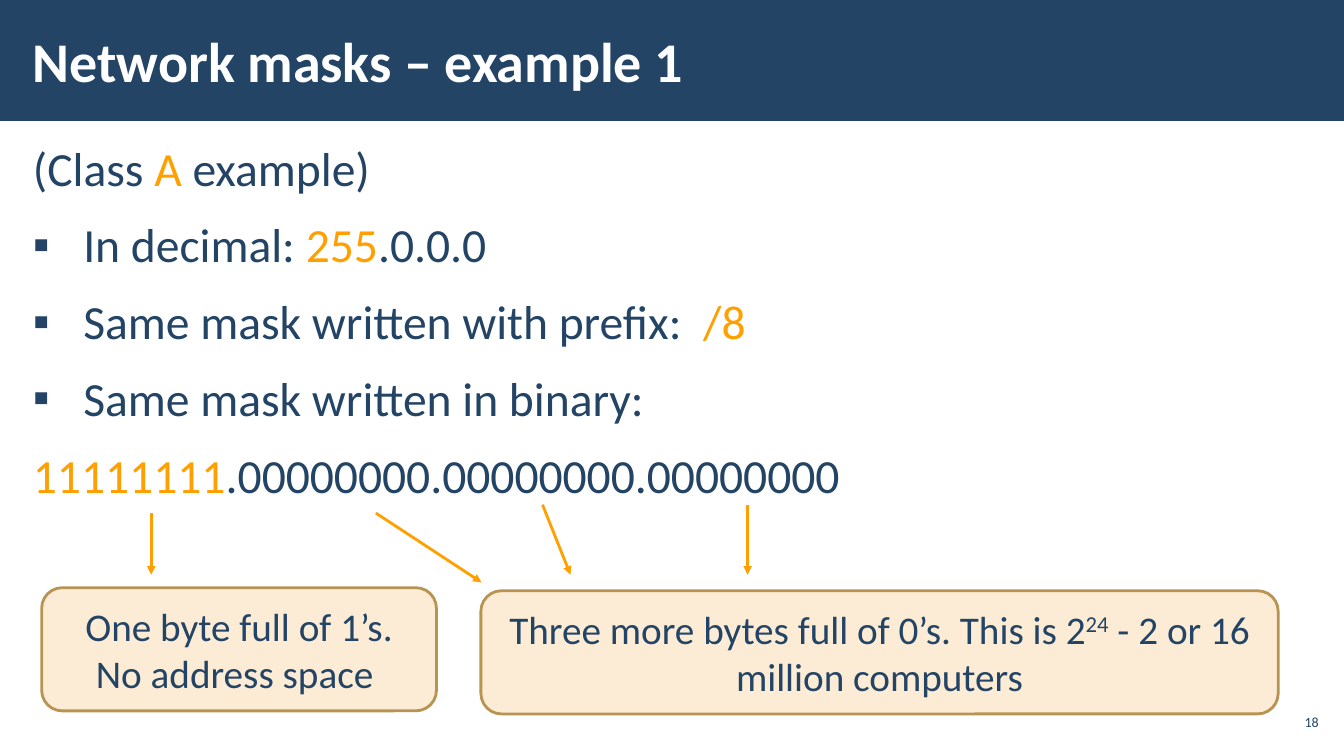
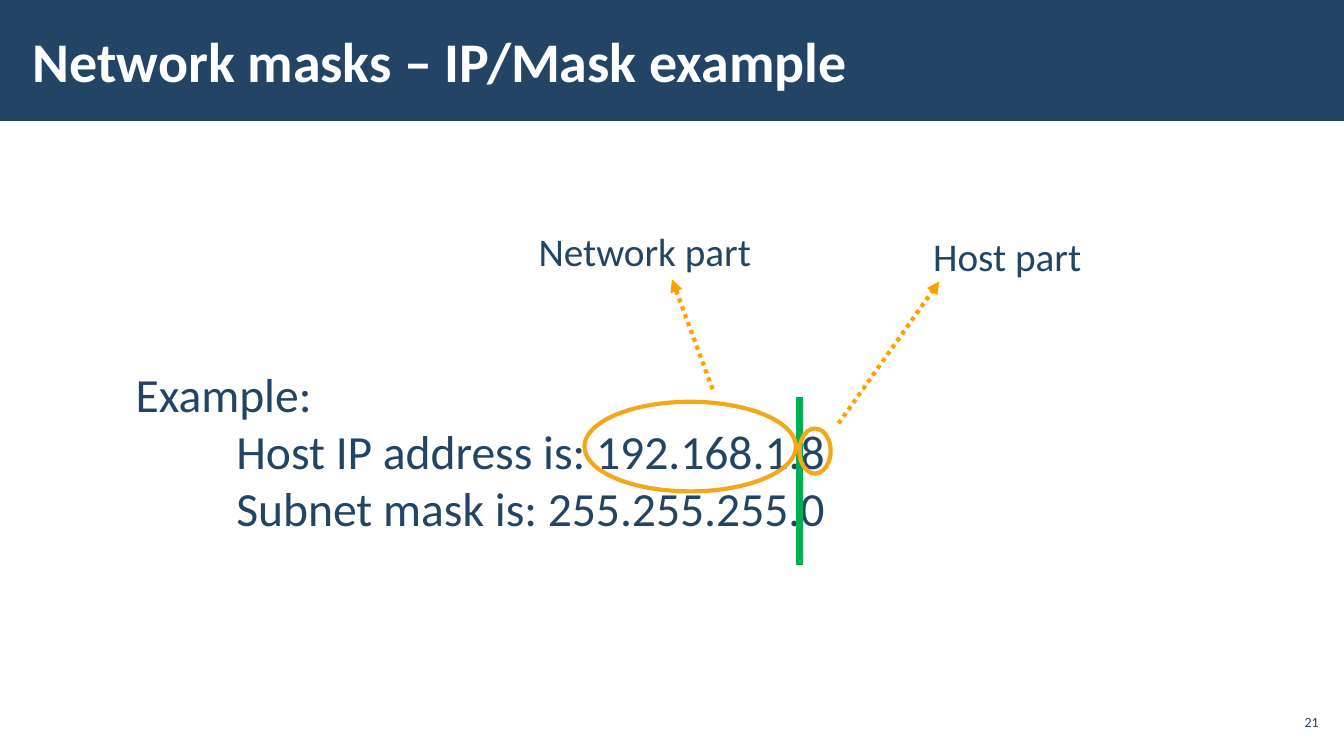
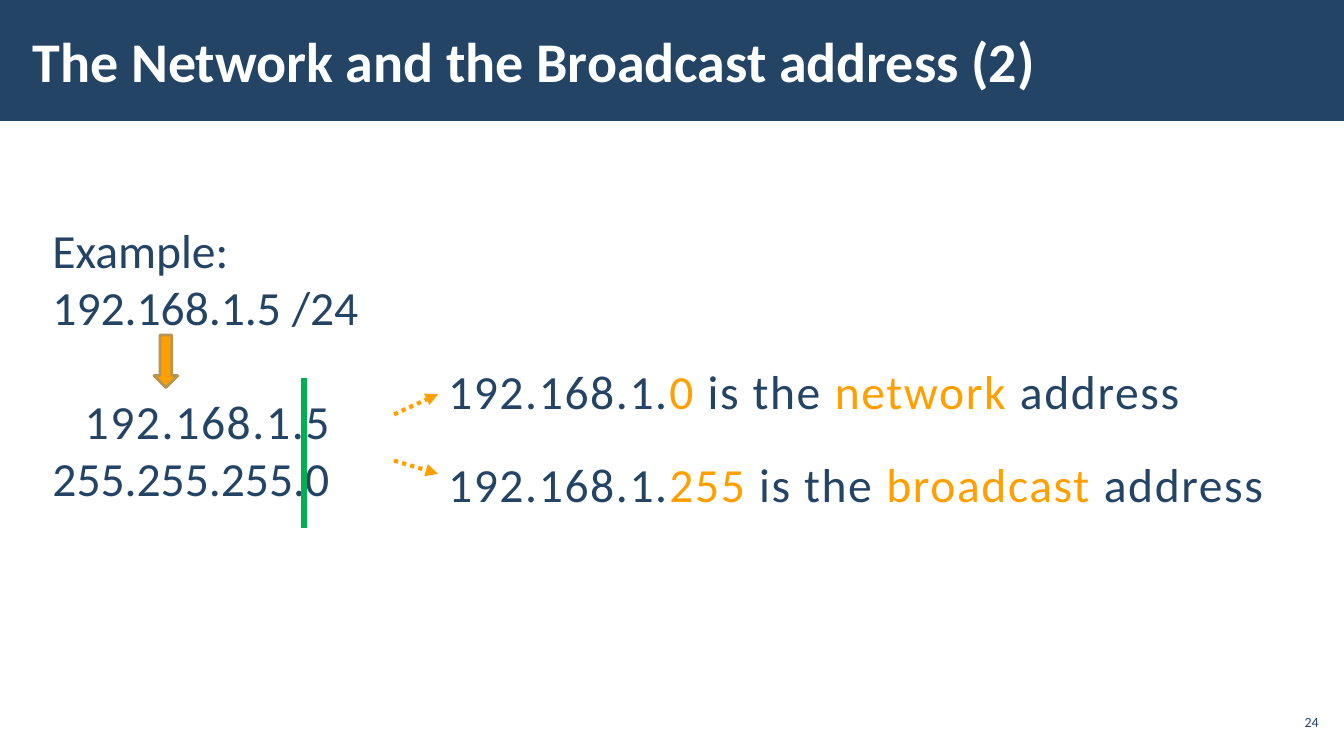
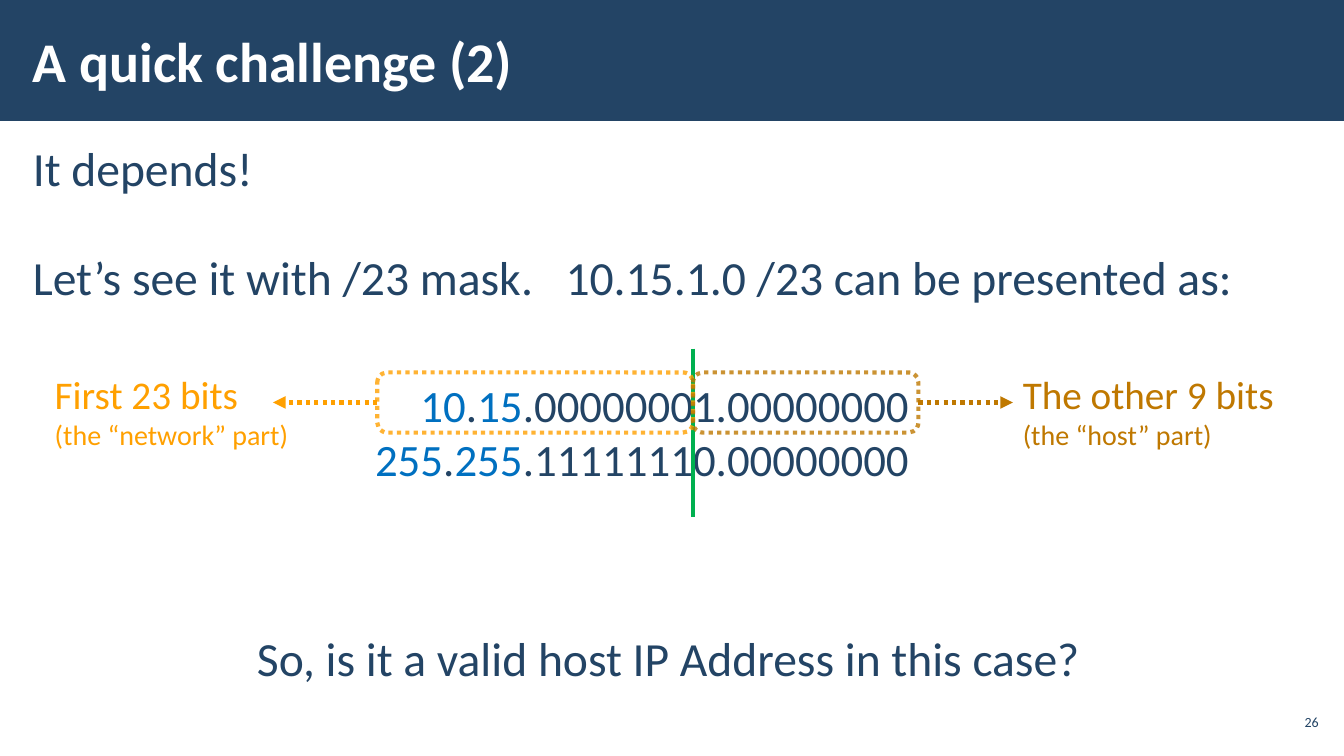
import pptx
import pptx.dml.color
import pptx.enum.dml
import pptx.enum.shapes
import pptx.enum.text
import pptx.oxml.ns
import pptx.util
from lxml import etree

Pt = pptx.util.Pt
RGBColor = pptx.dml.color.RGBColor
qn = pptx.oxml.ns.qn
SHAPE = pptx.enum.shapes.MSO_SHAPE
ALIGN = pptx.enum.text.PP_ALIGN
ANCHOR = pptx.enum.text.MSO_ANCHOR
DOTTED = pptx.enum.dml.MSO_LINE.ROUND_DOT

NAVY = RGBColor(0x23, 0x44, 0x65)
WHITE = RGBColor(0xFF, 0xFF, 0xFF)
AMBER = RGBColor(0xFF, 0xA0, 0x00)
BROWN = RGBColor(0xBF, 0x78, 0x00)
PEACH = RGBColor(0xF0, 0xA2, 0x2E)
GOLD = RGBColor(0xF2, 0xA8, 0x19)
TAN = RGBColor(0xB7, 0x94, 0x51)
GREEN = RGBColor(0x00, 0xB0, 0x50)
BLUE = RGBColor(0x00, 0x70, 0xC0)

FONT = "Calibri"
INSETS = (7.2, 3.6)
WIDE_INSETS = (8.5, 3)
SPACED = {"line_spacing": 1.05, "before": 6, "after": 6}


def add_span(para, text, *, size=34, color=NAVY, bold=False, spacing=0, baseline=0):
    for index, line in enumerate(text.split("\n")):
        if index:
            para.add_line_break()
        if not line:
            continue
        span = para.add_run()
        span.text = line
        span.font.name = FONT
        span.font.size = Pt(size)
        span.font.bold = bold
        span.font.color.rgb = color
        properties = span._r.get_or_add_rPr()
        if spacing:
            properties.set("spc", str(round(spacing * 100)))
        if baseline:
            properties.set("baseline", str(baseline * 1000))


def amber(text):
    return text, {"color": AMBER}


class Lecture:
    def __init__(self):
        self.deck = pptx.Presentation()
        self.deck.slide_width = Pt(960)
        self.deck.slide_height = Pt(540)
        self.page = None

    def start_page(self, title, number, layout="Title Only"):
        self.page = self.deck.slides.add_slide(self.deck.slide_layouts.get_by_name(layout))
        band = self.add_shape(SHAPE.RECTANGLE, 0, 0, 960, 86.4, fill=NAVY)
        self.page.shapes.element.insert(2, band.element)
        box = self.place(self.page.shapes.title, 15, 8, 749, 70)
        self.prepare(box.text_frame, WIDE_INSETS, ANCHOR.MIDDLE)
        self.add_para(box.text_frame, title, size=40, color=WHITE, bold=True)
        self.add_text(911, 503.5, 34, 24, str(number), insets=(3, 3),
                      anchor=ANCHOR.MIDDLE, align=ALIGN.RIGHT, size=10)

    def place(self, box, left, top, width, height):
        box.left, box.top, box.width, box.height = map(Pt, (left, top, width, height))
        return box

    def prepare(self, frame, insets=INSETS, anchor=ANCHOR.TOP):
        frame.word_wrap = True
        frame.auto_size = pptx.enum.text.MSO_AUTO_SIZE.NONE
        frame.vertical_anchor = anchor
        frame.margin_left = frame.margin_right = Pt(insets[0])
        frame.margin_top = frame.margin_bottom = Pt(insets[1])

    def add_para(self, frame, *spans, align=ALIGN.LEFT, indent=0, bullet=None,
                 line_spacing=1, before=0, after=0, **formats):
        para = frame.paragraphs[0]
        first = not para.runs
        if not first:
            para = frame.add_paragraph()
        properties = para._p.get_or_add_pPr()
        properties.set("marL", str(Pt(indent)))
        properties.set("indent", str(Pt(-indent if bullet else 0)))
        if bullet:
            etree.SubElement(properties, qn("a:buChar")).set("char", bullet)
        else:
            etree.SubElement(properties, qn("a:buNone"))
        para.alignment = align
        para.line_spacing = float(line_spacing)
        para.space_before = Pt(0 if first else before)
        para.space_after = Pt(after)
        for span in spans:
            text, changes = (span, {}) if isinstance(span, str) else span
            add_span(para, text, **{**formats, **changes})

    def add_text(self, left, top, width, height, *spans, insets=INSETS,
                 anchor=ANCHOR.TOP, **formats):
        box = self.page.shapes.add_textbox(*map(Pt, (left, top, width, height)))
        self.prepare(box.text_frame, insets, anchor)
        if spans:
            self.add_para(box.text_frame, *spans, **formats)
        return box.text_frame

    def open_body(self):
        box = self.place(self.page.placeholders[1], 15, 94, 930, 420)
        self.prepare(box.text_frame, WIDE_INSETS)
        return box.text_frame

    def add_shape(self, kind, left, top, width, height, *, fill=None, fill_opacity=100,
                  line=None, weight=2, dash=None, line_opacity=100):
        shape = self.page.shapes.add_shape(kind, *map(Pt, (left, top, width, height)))
        shape.shadow.inherit = False
        if fill is None:
            shape.fill.background()
        else:
            shape.fill.solid()
            shape.fill.fore_color.rgb = fill
        if line is None:
            shape.line.fill.background()
        else:
            self.set_line(shape.line, line, weight, dash)
        for query, opacity in (("./a:solidFill/a:srgbClr", fill_opacity),
                               ("./a:ln/a:solidFill/a:srgbClr", line_opacity)):
            if opacity < 100:
                for color in shape.element.spPr.xpath(query):
                    etree.SubElement(color, qn("a:alpha")).set("val", str(opacity * 1000))
        return shape

    def set_line(self, line, color, weight, dash=None):
        line.color.rgb = color
        line.width = Pt(weight)
        if dash:
            line.dash_style = dash

    def add_line(self, start, end, *, color=AMBER, weight=3, dash=None, arrow=False):
        connector = self.page.shapes.add_connector(
            pptx.enum.shapes.MSO_CONNECTOR.STRAIGHT, *map(Pt, (*start, *end)))
        self.set_line(connector.line, color, weight, dash)
        properties = connector.element.spPr
        if arrow:
            tail = etree.SubElement(properties.find(qn("a:ln")), qn("a:tailEnd"))
            tail.set("type", "triangle")
        etree.SubElement(properties, qn("a:effectLst"))
        return connector

    def add_divider(self, x, top, bottom, weight=4.5):
        self.add_line((x, top), (x, bottom), color=GREEN, weight=weight)

    def add_callout(self, left, top, width, *spans):
        shape = self.add_shape(SHAPE.ROUNDED_RECTANGLE, left, top, width, 88,
                               fill=PEACH, fill_opacity=20, line=TAN)
        self.prepare(shape.text_frame, anchor=ANCHOR.MIDDLE)
        self.add_para(shape.text_frame, *spans, align=ALIGN.CENTER, size=28)


def build_class_a(lecture):
    lecture.start_page("Network masks – example 1", 18, "Title and Content")
    frame = lecture.open_body()
    lecture.add_para(frame, "(Class ", amber("A"), " example)", **SPACED)
    for spans in (
        ("In decimal: ", amber("255"), ".0.0.0"),
        ("Same mask written with prefix", (": ", {"spacing": 3.85}), amber("/8")),
        ("Same mask written in binary:",),
    ):
        lecture.add_para(frame, *spans, indent=36, bullet="▪", **SPACED)
    lecture.add_para(frame, amber("11111111"), ".00000000.00000000.00000000", **SPACED)
    for start, end in (
        ((108, 366.5), (108, 410.5)),
        ((268.5, 366.5), (344, 416)),
        ((387.5, 360.5), (407.5, 410.5)),
        ((534, 360.5), (534, 410.5)),
    ):
        lecture.add_line(start, end, weight=2, arrow=True)
    lecture.add_callout(29.8, 419.8, 282, "One byte full of 1’s.\nNo address space ")
    lecture.add_callout(343.5, 422, 569.5, "Three more bytes full of 0’s. This is 2",
                        ("24", {"baseline": 30}), " - 2 or 16 million computers")


def build_ip_and_mask(lecture):
    lecture.start_page("Network masks – IP/Mask example", 21)
    frame = lecture.add_text(89.8, 257, 560, 165, "Example:")
    for line in ("Host IP address is: 192.168.1.8", "Subnet mask is: 255.255.255.0"):
        lecture.add_para(frame, line, indent=72)
    lecture.add_divider(571, 283.3, 403.3)
    for label, left, top, width, start, end in (
        ("Network part", 377.7, 158.5, 182, (509, 278), (480, 199.5)),
        ("Host part", 659.5, 162.5, 142, (599, 302.5), (671, 201)),
    ):
        lecture.add_line(start, end, dash=DOTTED, arrow=True)
        lecture.add_text(left, top, width, 41, label, size=28)
    for area in ((417.5, 287, 151, 64), (571, 306, 22.3, 32.3)):
        lecture.add_shape(SHAPE.OVAL, *area, line=GOLD, weight=3)


def build_broadcast(lecture):
    lecture.start_page("The Network and the Broadcast address (2)", 24)
    frame = lecture.add_text(30.4, 154, 366, 254, "Example:")
    lecture.add_para(frame, "192.168.1.5 /24")
    lecture.add_para(frame, "192.168.1.5", indent=23, before=41, spacing=1.2)
    lecture.add_para(frame, "255.255.255.0")
    lecture.add_shape(SHAPE.DOWN_ARROW, 110, 239.3, 17, 37.5, fill=AMBER, line=TAN)
    lecture.add_divider(217, 270, 377)
    for top, ending, role, start_y, end_y in (
        (255, "0", "network", 296, 281.5),
        (321.7, "255", "broadcast", 329, 338.5),
    ):
        lecture.add_text(313, top, 612, 48, "192.168.1.", amber(ending), " is the ",
                         amber(role), " address", spacing=1.2)
        lecture.add_line((281.5, start_y), (313, end_y), dash=DOTTED, arrow=True)


def build_challenge(lecture):
    lecture.start_page("A quick challenge (2)", 26, "Title and Content")
    lecture.add_para(lecture.open_body(), "It depends!", **SPACED)
    lecture.add_text(15, 172, 930, 114, "Let’s see it with /23 mask", (". ", {"spacing": 7.7}),
                     "10.15.1.0 /23 can be presented as:", insets=WIDE_INSETS, **SPACED)
    bits = lecture.add_text(254, 266.5, 402.5, 85)
    for first, second, rest in (
        ("10", "15", ".00000001.00000000"),
        ("255", "255", ".11111110.00000000"),
    ):
        lecture.add_para(bits, (first, {"color": BLUE}), ".", (second, {"color": BLUE}), rest,
                         align=ALIGN.RIGHT, size=32)
    lecture.add_divider(495, 249, 369, weight=3)
    for left, width, side, edge, tip, color, label_left, label, part in (
        (269.5, 225.5, 1, 269.5, 195, AMBER, 32, "First 23 bits", "network"),
        (495, 161, 3, 656, 723.5, BROWN, 723.5, "The other 9 bits", "host"),
    ):
        box = lecture.add_shape(SHAPE.ROUNDED_RECTANGLE, left, 266, width, 43, line=color,
                                weight=3, dash=DOTTED, line_opacity=80)
        arrow = lecture.add_line((edge, 287.5), (tip, 287.5), color=color,
                                 dash=DOTTED, arrow=True)
        arrow.begin_connect(box, side)
        lecture.add_text(label_left, 261, 200, 66, (label + "\n", {"size": 28}),
                         (f"(the “{part}” part)", {"size": 20}), color=color)
    lecture.add_text(176.5, 445.5, 620, 48, "So, is it a valid host IP Address in this case?")


def main():
    lecture = Lecture()
    build_class_a(lecture)
    build_ip_and_mask(lecture)
    build_broadcast(lecture)
    build_challenge(lecture)
    lecture.deck.save("out.pptx")


if __name__ == "__main__":
    main()
